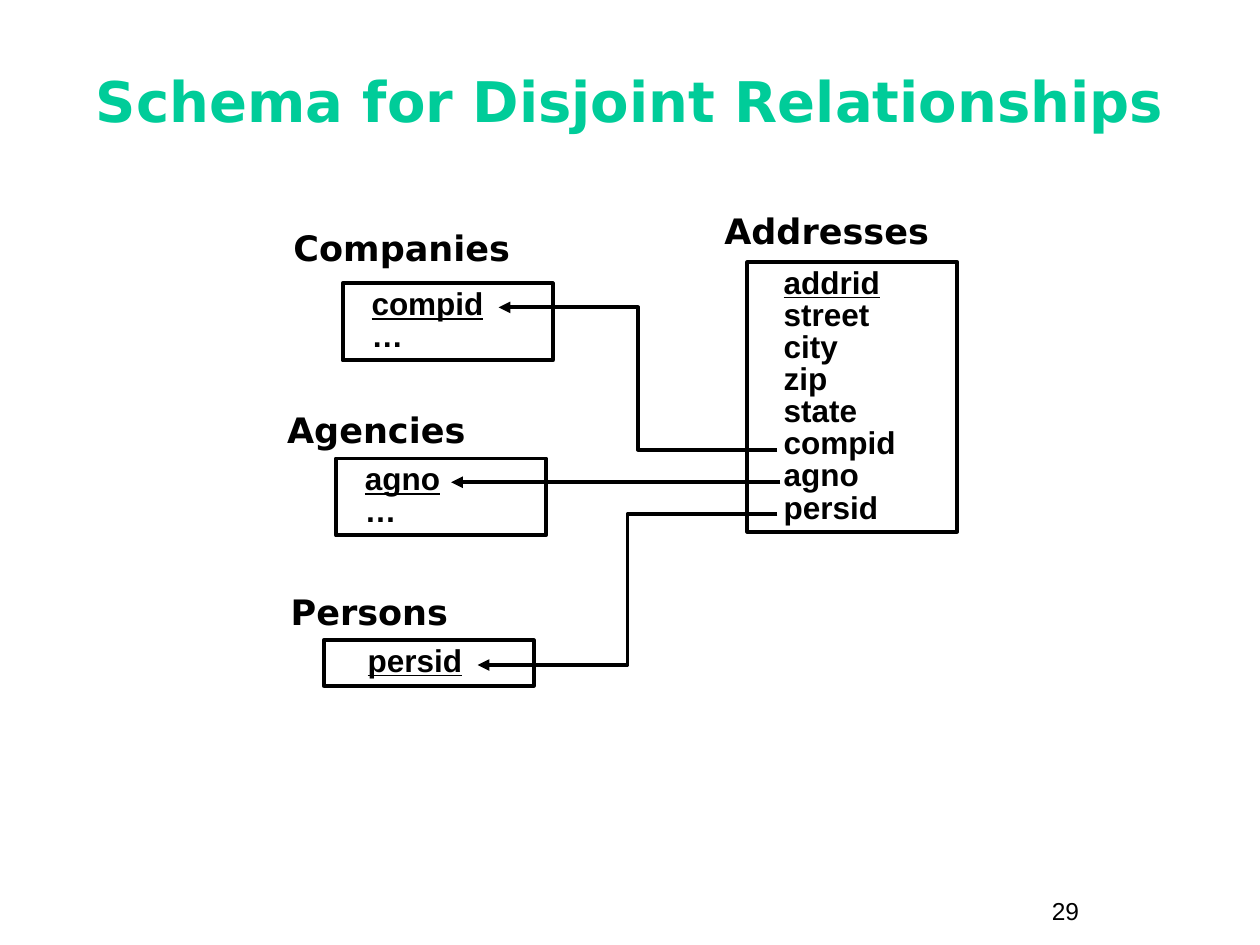
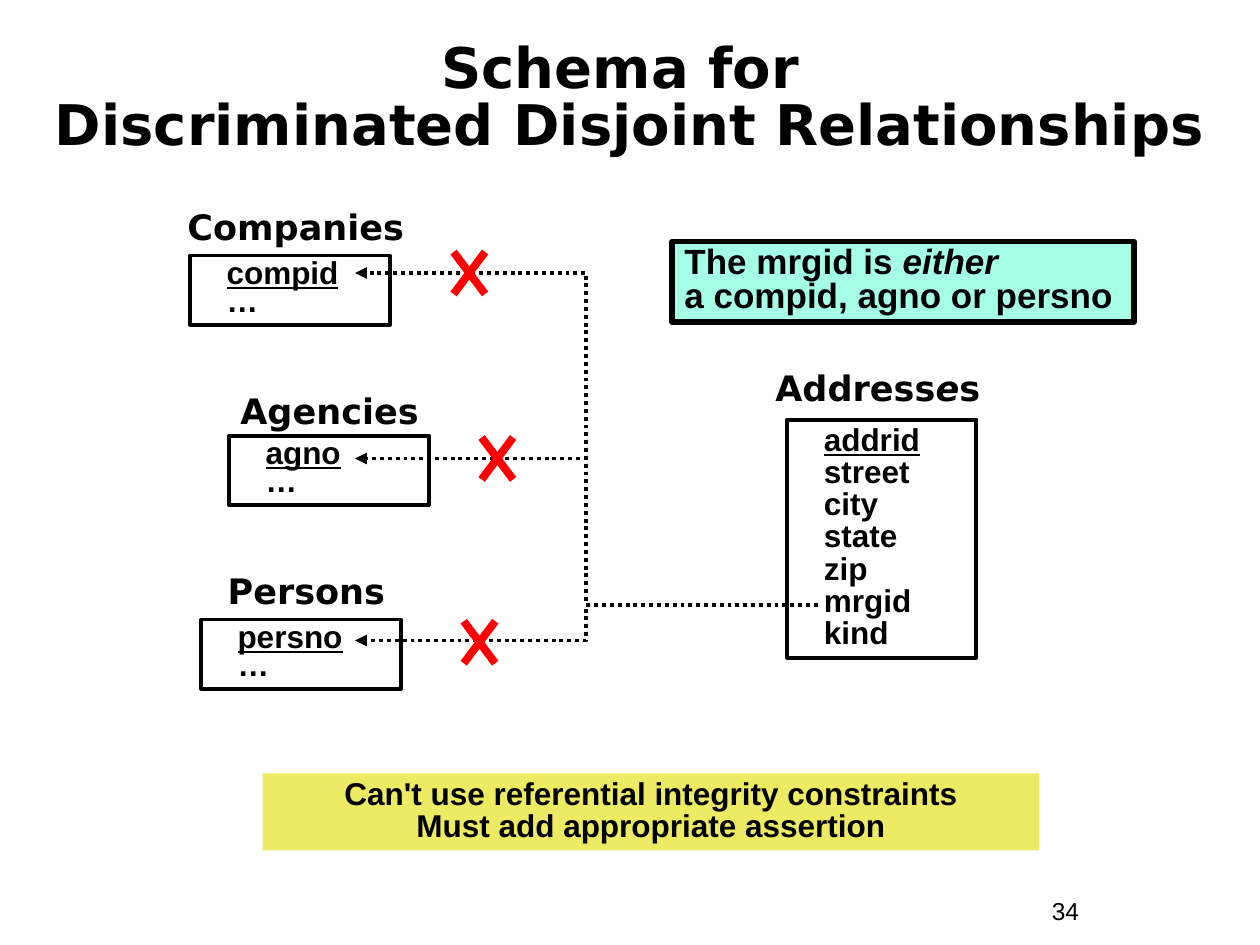
import pptx
import pptx.util
import pptx.dml.color
import pptx.enum.dml
import pptx.enum.shapes
import pptx.enum.text
import pptx.oxml
import pptx.oxml.ns

Pt = pptx.util.Pt
ALIGN = pptx.enum.text.PP_ALIGN
CONNECTOR = pptx.enum.shapes.MSO_CONNECTOR
DOTTED = pptx.enum.dml.MSO_LINE.ROUND_DOT

COLORS = {
    "ink": "000000",
    "title": "00CC99",
    "cross": "FF0000",
    "warning": "EDEA63",
    "rule": "A5FFE7",
}
TITLE = {"name": "DejaVu Sans", "size": Pt(32), "bold": True}
HEADING = {"name": "DejaVu Sans", "size": Pt(20), "bold": True}
FIELD = {"name": "Arial", "size": Pt(18), "bold": True}
RULE = {"name": "Arial", "size": Pt(20), "bold": True}
PAGE_NUMBER = {"name": "Arial", "size": Pt(14)}
FRAME = {
    "word_wrap": True,
    "margin_left": Pt(7.2),
    "margin_right": Pt(7.2),
    "margin_top": Pt(3.6),
    "margin_bottom": Pt(3.6),
}
TOP = pptx.enum.text.MSO_ANCHOR.TOP
MIDDLE = pptx.enum.text.MSO_ANCHOR.MIDDLE


def points(lengths):
    return [Pt(length) for length in lengths]


def rgb(color):
    return pptx.dml.color.RGBColor.from_string(COLORS[color])


def set_values(target, values):
    for name, value in values.items():
        setattr(target, name, value)


def write_lines(shape, lines, font, color="ink", align=ALIGN.LEFT,
                spacing=1.0, indent=0, anchor=TOP):
    frame = shape.text_frame
    set_values(frame, FRAME | {"vertical_anchor": anchor})
    for index, line in enumerate(lines):
        paragraph = frame.paragraphs[0] if index == 0 else frame.add_paragraph()
        set_values(paragraph, {"alignment": align, "line_spacing": spacing})
        if indent:
            paragraph._p.get_or_add_pPr().set("marL", str(Pt(indent)))
        for words, emphasis in line:
            run = paragraph.add_run()
            run.text = words
            set_values(run.font, font | emphasis)
            run.font.color.rgb = rgb(color)


def add_text(slide, box, lines, font, **layout):
    write_lines(slide.shapes.add_textbox(*points(box)), lines, font, **layout)


def add_title(slide, lines, color="ink", spacing=1.0):
    add_text(slide, (24, 24, 672, 66), [[(line, {})] for line in lines], TITLE,
             color=color, align=ALIGN.CENTER, spacing=spacing, anchor=MIDDLE)


def add_page_number(slide, number):
    add_text(slide, (594, 508.3, 66, 24.5), [[(number, {})]], PAGE_NUMBER)


def add_box(slide, box, lines, font, fill=None, border=0, **layout):
    shape = slide.shapes.add_shape(
        pptx.enum.shapes.MSO_SHAPE.RECTANGLE, *points(box))
    shape.shadow.inherit = False
    if fill:
        shape.fill.solid()
        shape.fill.fore_color.rgb = rgb(fill)
    else:
        shape.fill.background()
    if border:
        shape.line.color.rgb = rgb("ink")
        shape.line.width = Pt(border)
    else:
        shape.line.fill.background()
    write_lines(shape, lines, font, **layout)


def add_table_schema(slide, heading, heading_at, box, fields, indent, spacing=0.85):
    add_text(slide, (*heading_at, 155, 31.7), [heading], HEADING)
    lines = [[(field, {"underline": index == 0})]
             for index, field in enumerate(fields)]
    add_box(slide, box, lines, FIELD, border=2.25, indent=indent, spacing=spacing)


def add_line(slide, start, end, kind=CONNECTOR.STRAIGHT, color="ink",
             width=2.25, dash=None, arrow=False):
    connector = slide.shapes.add_connector(kind, *points((*start, *end)))
    connector.line.color.rgb = rgb(color)
    set_values(connector.line, {"width": Pt(width), "dash_style": dash})
    properties = connector._element.spPr
    if arrow:
        outline = properties.find(pptx.oxml.ns.qn("a:ln"))
        outline.append(pptx.oxml.parse_xml(
            f'<a:tailEnd {pptx.oxml.ns.nsdecls("a")} type="triangle"/>'))
    properties.append(pptx.oxml.parse_xml(
        f'<a:effectLst {pptx.oxml.ns.nsdecls("a")}/>'))


def add_cross(slide, left, top):
    right, bottom = left + 18, top + 24
    for start, end in (((left, top), (right, bottom)),
                       ((right, top), (left, bottom))):
        add_line(slide, start, end, color="cross", width=4.5)


def build_disjoint(slide):
    add_title(slide, ["Schema for Disjoint Relationships"], color="title")
    for name, heading_at, box, fields, indent in (
        ("Addresses", (406.8, 116), (427, 149.8, 120, 154),
         ["addrid", "street", "city", "zip", "state", "compid", "agno", "persid"], 13.7),
        ("Companies", (160.6, 126), (195.8, 162, 120, 44), ["compid", "…"], 9.4),
        ("Agencies", (157, 229.7), (192, 262, 120, 44), ["agno", "…"], 9.4),
        ("Persons", (159, 334), (185, 365.8, 120, 26), ["persid"], 18),
    ):
        add_table_schema(slide, [(name, {})], heading_at, box, fields, indent)
    for foreign_key, primary_key, kind in (
        ((444.2, 257), (285, 175.7), CONNECTOR.ELBOW),
        ((446, 275.6), (257.8, 275.6), CONNECTOR.STRAIGHT),
        ((444.2, 293.8), (273, 380), CONNECTOR.ELBOW),
    ):
        add_line(slide, foreign_key, primary_key, kind, arrow=True)
    add_page_number(slide, "29")


def build_discriminated(slide):
    add_title(slide, ["Schema for ", "Discriminated Disjoint Relationships"],
              spacing=0.85)
    merged_key = (467.3, 345.6)
    for name, heading_at, box_at, key, arrow_y, cross_at in (
        ("Companies", (100, 113.8), (108.7, 146), "compid", 156, (259.2, 144)),
        ("Agencies", (130.3, 218.9), (131, 249), "agno", 262, (275.2, 250)),
        ("Persons", (123, 321.8), (115, 354), "persno", 366, (265, 355)),
    ):
        add_table_schema(slide, [(name, {})], heading_at, (*box_at, 114, 39.6),
                         [key, "…"], 13.7, spacing=0.75)
        add_line(slide, merged_key, (203, arrow_y), CONNECTOR.ELBOW,
                 dash=DOTTED, arrow=True)
        add_cross(slide, *cross_at)
    add_table_schema(
        slide, [("Address", {}), ("e", {"italic": True}), ("s", {})],
        (436, 206), (450, 239.8, 108, 136),
        ["addrid", "street", "city", "state", "zip", "mrgid", "kind"], 13.7)
    add_box(slide, (150, 442, 444, 44),
            [[("Can't use referential integrity constraints", {})],
             [("Must add appropriate assertion", {})]],
            FIELD, fill="warning", align=ALIGN.CENTER, spacing=0.85)
    add_box(slide, (384, 138, 264, 46),
            [[("The mrgid is ", {}), ("either", {"italic": True})],
             [("a compid, agno or persno", {})]],
            RULE, fill="rule", border=3, spacing=0.8)
    add_page_number(slide, "34")


def main():
    deck = pptx.Presentation()
    set_values(deck, {"slide_width": Pt(720), "slide_height": Pt(540)})
    for build in (build_disjoint, build_discriminated):
        build(deck.slides.add_slide(deck.slide_layouts[6]))
    deck.save("out.pptx")


if __name__ == "__main__":
    main()
